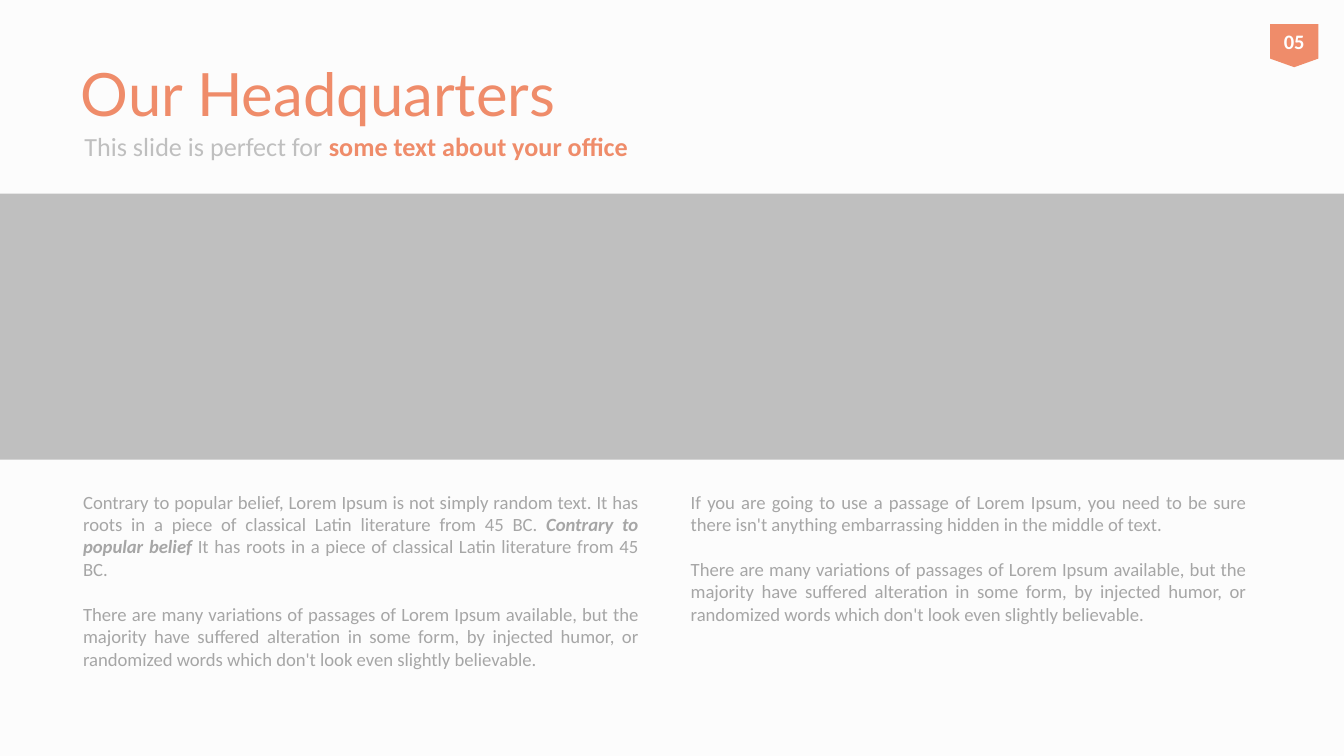
from pptx import Presentation
from pptx import util as u
from pptx.dml.color import RGBColor
from pptx.enum import shapes, text

CORAL = RGBColor(0xEF, 0x8C, 0x6A)
SILVER = RGBColor(0xBF, 0xBF, 0xBF)
GRAY = RGBColor(0xA6, 0xA6, 0xA6)
WHITE = RGBColor(0xFF, 0xFF, 0xFF)
PAPER = RGBColor(0xFC, 0xFC, 0xFC)

COLS, ROWS = 100, 56.25

VARIED = ("There are many variations of passages of Lorem Ipsum available, but the majority "
          "have suffered alteration in some form, by injected humor, or randomized words "
          "which don't look even slightly believable.")


def write(para, words, size=10, font="Calibri", color=GRAY, bold=False, slant=False):
    run = para.add_run()
    run.text = words
    face = run.font
    face.size, face.name = u.Pt(size), font
    face.bold, face.italic = bold, slant
    face.color.rgb = color


class Deck:
    def __init__(self):
        self.file = Presentation()
        self.file.slide_width = u.Inches(10)
        self.file.slide_height = self.file.slide_width * 9 // 16
        self.slide = self.file.slides.add_slide(self.file.slide_layouts[5])
        back = self.slide.background.fill
        back.solid()
        back.fore_color.rgb = PAPER

    def area(self, col, row, wide, high):
        across = self.file.slide_width / COLS
        down = self.file.slide_height / ROWS
        return [round(n) for n in (col * across, row * down, wide * across, high * down)]

    def frame(self, shape, anchor=text.MSO_ANCHOR.MIDDLE):
        frame = shape.text_frame
        frame.word_wrap = True
        frame.auto_size = text.MSO_AUTO_SIZE.NONE
        frame.vertical_anchor = anchor
        return frame

    def title(self, words, *place):
        shape = self.slide.shapes.title
        shape.left, shape.top, shape.width, shape.height = self.area(*place)
        para = self.frame(shape).paragraphs[0]
        para.alignment = text.PP_ALIGN.LEFT
        write(para, words, size=32, font="Lato", color=CORAL)

    def block(self, kind, color, *place):
        shape = self.slide.shapes.add_shape(kind, *self.area(*place))
        shape.shadow.inherit = False
        shape.fill.solid()
        shape.fill.fore_color.rgb = color
        shape.line.fill.background()
        return shape

    def badge(self, words, *place):
        shape = self.block(shapes.MSO_SHAPE.FLOWCHART_OFFPAGE_CONNECTOR, CORAL, *place)
        frame = self.frame(shape)
        frame.margin_left = frame.margin_right = 0
        frame.margin_top = frame.margin_bottom = 0
        para = frame.paragraphs[0]
        para.alignment = text.PP_ALIGN.CENTER
        write(para, words, size=11, color=WHITE, bold=True)

    def line(self, runs, *place):
        box = self.slide.shapes.add_textbox(*self.area(*place))
        para = self.frame(box).paragraphs[0]
        for words, style in runs:
            write(para, words, size=14, **style)

    def columns(self, paras, *place):
        box = self.slide.shapes.add_textbox(*self.area(*place))
        frame = self.frame(box, text.MSO_ANCHOR.TOP)
        frame.margin_right, frame.margin_bottom = u.Inches(0.16), u.Inches(0.04)
        body = frame._txBody.bodyPr
        body.set("numCol", "2")
        body.set("spcCol", str(u.Inches(0.39)))
        for i, (gap, runs) in enumerate(paras):
            para = frame.add_paragraph() if i else frame.paragraphs[0]
            para.alignment = text.PP_ALIGN.JUSTIFY
            para.space_before = u.Pt(gap)
            for words, style in runs:
                write(para, words, **style)


def main():
    deck = Deck()
    deck.title("Our Headquarters", 5, 3.7, 90, 6.4)
    deck.block(shapes.MSO_SHAPE.RECTANGLE, SILVER, 0, 14.4, 100, 19.8)
    deck.line([("This slide is perfect for ", {"color": SILVER}),
               ("some text about your office", {"color": CORAL, "bold": True})],
              5.3, 8.9, 90, 4)
    deck.columns([
        (0, [("Contrary to popular belief, Lorem Ipsum is not simply random text. It has roots "
              "in a piece of classical Latin literature from 45 BC. ", {}),
             ("Contrary to popular belief ", {"bold": True, "slant": True}),
             ("It has roots in a piece of classical Latin literature from 45 BC.", {})]),
        (12, [(VARIED, {})]),
        (0, [("If you are going to use a passage of Lorem Ipsum, you need to be sure there "
              "isn't anything embarrassing hidden in the middle of text.", {})]),
        (12, [(VARIED, {})]),
    ], 5.2, 36, 89.1, 14.7)
    deck.badge("05", 94.5, 1.8, 3.6, 3.2)
    deck.file.save("out.pptx")


if __name__ == "__main__":
    main()
